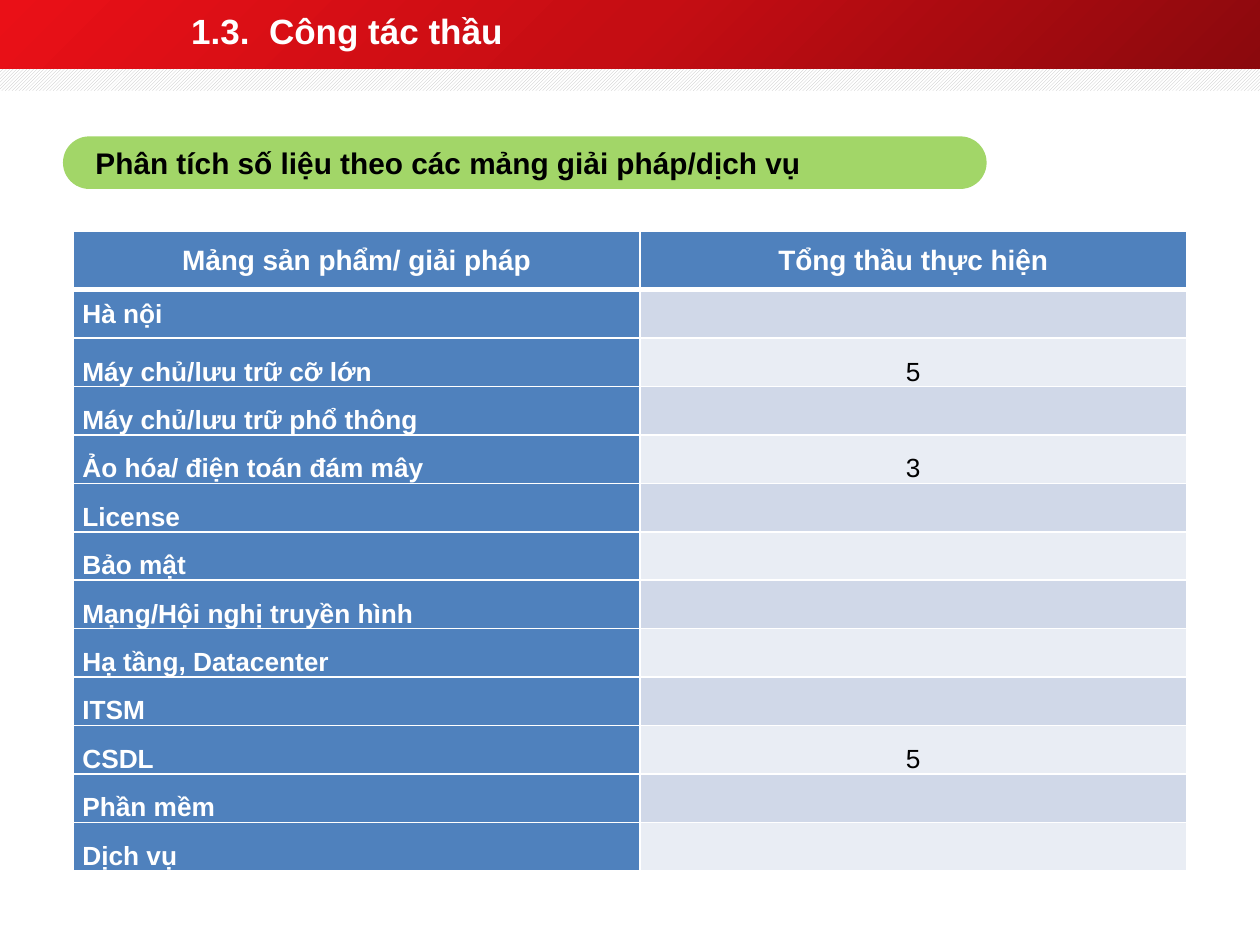
import copy
from dataclasses import dataclass

import lxml.etree
import pptx
import pptx.dml.color
import pptx.enum.dml
import pptx.enum.shapes
import pptx.enum.text
import pptx.oxml.ns
import pptx.util

Cm = pptx.util.Cm
ALIGN = pptx.enum.text.PP_ALIGN
ANCHOR = pptx.enum.text.MSO_ANCHOR
SHAPE = pptx.enum.shapes.MSO_SHAPE
qn = pptx.oxml.ns.qn


@dataclass(frozen=True)
class Theme:
    font: str = "Arial"
    white: str = "FFFFFF"
    black: str = "000000"
    hatch: str = "BFBFBF"
    reds: tuple = ("8B090D", "C50D13", "EA1017")
    green: str = "A2D668"
    blue: str = "4F81BD"
    bands: tuple = ("D0D8E8", "E9EDF4")
    title_size: int = 20
    banner_size: int = 17
    head_size: int = 16
    body_size: int = 15


THEME = Theme()
HEADERS = ("Mảng sản phẩm/ giải pháp", "Tổng thầu thực hiện")
ROWS = (
    ("Hà nội", ""),
    ("Máy chủ/lưu trữ cỡ lớn", "5"),
    ("Máy chủ/lưu trữ phổ thông", ""),
    ("Ảo hóa/ điện toán đám mây", "3"),
    ("License", ""),
    ("Bảo mật", ""),
    ("Mạng/Hội nghị truyền hình", ""),
    ("Hạ tầng, Datacenter", ""),
    ("ITSM", ""),
    ("CSDL", "5"),
    ("Phần mềm", ""),
    ("Dịch vụ", ""),
)


def rgb(color):
    return pptx.dml.color.RGBColor.from_string(color)


def write(tf, text, size, color, bold=True, align=ALIGN.LEFT):
    p = tf.paragraphs[0]
    p.alignment = align
    r = p.add_run()
    r.text = text
    r.font.name = THEME.font
    r.font.size = pptx.util.Pt(size)
    r.font.bold = bold
    r.font.color.rgb = rgb(color)


def add_plain_shape(slide, kind, x, y, w, h):
    """Add a shape with no outline and no shadow; lengths in cm."""
    sp = slide.shapes.add_shape(kind, Cm(x), Cm(y), Cm(w), Cm(h))
    sp.line.fill.background()
    sp.shadow.inherit = False
    return sp


def fill_gradient(sp, colors, angle):
    """Fill with evenly spaced colour stops."""
    sp.fill.gradient()
    sp.fill.gradient_angle = angle
    stops = sp.fill.gradient_stops
    first = sp._element.spPr.find(".//" + qn("a:gs"))
    for _ in range(len(colors) - len(stops)):
        first.addnext(copy.deepcopy(first))
    for i, (stop, color) in enumerate(zip(sp.fill.gradient_stops, colors)):
        stop.position = i / (len(colors) - 1)
        stop.color.rgb = rgb(color)


def add_header(slide, x, y, w, h):
    red_h = h * 0.76
    red = add_plain_shape(slide, SHAPE.RECTANGLE, x, y, w, red_h)
    fill_gradient(red, THEME.reds, 135)

    strip = add_plain_shape(slide, SHAPE.RECTANGLE, x, y + red_h, w, h - red_h)
    strip.fill.patterned()
    strip.fill.pattern = pptx.enum.dml.MSO_PATTERN.DARK_UPWARD_DIAGONAL
    strip.fill.fore_color.rgb = rgb(THEME.hatch)
    strip.fill.back_color.rgb = rgb(THEME.white)

    title = slide.shapes.title
    title.left, title.top = Cm(x + 3.6), Cm(y)
    title.width, title.height = Cm(19.25), Cm(1.22)
    slide.shapes._spTree.append(title._element)  # in front of the bands
    tf = title.text_frame
    tf.auto_size = pptx.enum.text.MSO_AUTO_SIZE.NONE
    tf.vertical_anchor = ANCHOR.MIDDLE
    write(tf, "1.3.\u00a0 Công tác thầu".replace("\u00a0", " "),
          THEME.title_size, THEME.white)


def add_banner(slide, x, y, w, h):
    sp = add_plain_shape(slide, SHAPE.ROUNDED_RECTANGLE, x, y, w, h)
    sp.adjustments[0] = 0.5
    sp.fill.solid()
    sp.fill.fore_color.rgb = rgb(THEME.green)
    tf = sp.text_frame
    tf.word_wrap = True
    tf.margin_left = Cm(0.5)
    tf.vertical_anchor = ANCHOR.MIDDLE
    write(tf, "Phân tích số liệu theo các mảng giải pháp/dịch vụ",
          THEME.banner_size, THEME.black)


def set_borders(cell, **widths):
    """Draw white borders; widths in points, keyed by side L, R, T, B."""
    tc_pr = cell._tc.get_or_add_tcPr()
    for side, width in widths.items():
        ln = lxml.etree.SubElement(tc_pr, qn(f"a:ln{side}"), w=str(pptx.util.Pt(width)))
        fill = lxml.etree.SubElement(ln, qn("a:solidFill"))
        lxml.etree.SubElement(fill, qn("a:srgbClr"), val=THEME.white)


def format_cell(cell, fill, anchor, top=1, bottom=1):
    set_borders(cell, L=1, R=1, T=top, B=bottom)
    cell.fill.solid()
    cell.fill.fore_color.rgb = rgb(fill)
    cell.margin_left = cell.margin_right = Cm(0.18)
    cell.margin_top = cell.margin_bottom = 0
    cell.vertical_anchor = anchor


def add_bid_table(slide, x, y, w, h):
    head_h = 1.18
    row_h = (h - head_h) / len(ROWS)
    table = slide.shapes.add_table(
        len(ROWS) + 1, len(HEADERS), Cm(x), Cm(y), Cm(w), Cm(h)).table
    table.first_row = table.horz_banding = False
    table.columns[0].width = Cm(w * 0.509)
    table.columns[1].width = Cm(w * 0.491)

    table.rows[0].height = Cm(head_h)
    for i, text in enumerate(HEADERS):
        cell = table.cell(0, i)
        format_cell(cell, THEME.blue, ANCHOR.MIDDLE, bottom=3)
        write(cell.text_frame, text, THEME.head_size, THEME.white, align=ALIGN.CENTER)

    for i, (label, count) in enumerate(ROWS, 1):
        table.rows[i].height = Cm(row_h)
        top = 3 if i == 1 else 1
        name, value = table.cell(i, 0), table.cell(i, 1)
        format_cell(name, THEME.blue, ANCHOR.MIDDLE if i == 1 else ANCHOR.BOTTOM, top)
        write(name.text_frame, label, THEME.body_size, THEME.white)
        format_cell(value, THEME.bands[(i - 1) % 2], ANCHOR.BOTTOM, top)
        if count:
            write(value.text_frame, count, THEME.body_size, THEME.black,
                  bold=False, align=ALIGN.CENTER)


def main():
    prs = pptx.Presentation()
    prs.slide_width, prs.slide_height = Cm(25.4), Cm(19.05)
    slide = prs.slides.add_slide(prs.slide_layouts[5])
    add_header(slide, 0, 0, 25.4, 1.83)
    add_banner(slide, 1.27, 2.75, 18.62, 1.06)
    add_bid_table(slide, 1.48, 4.66, 22.44, 12.9)
    prs.save("out.pptx")


if __name__ == "__main__":
    main()
